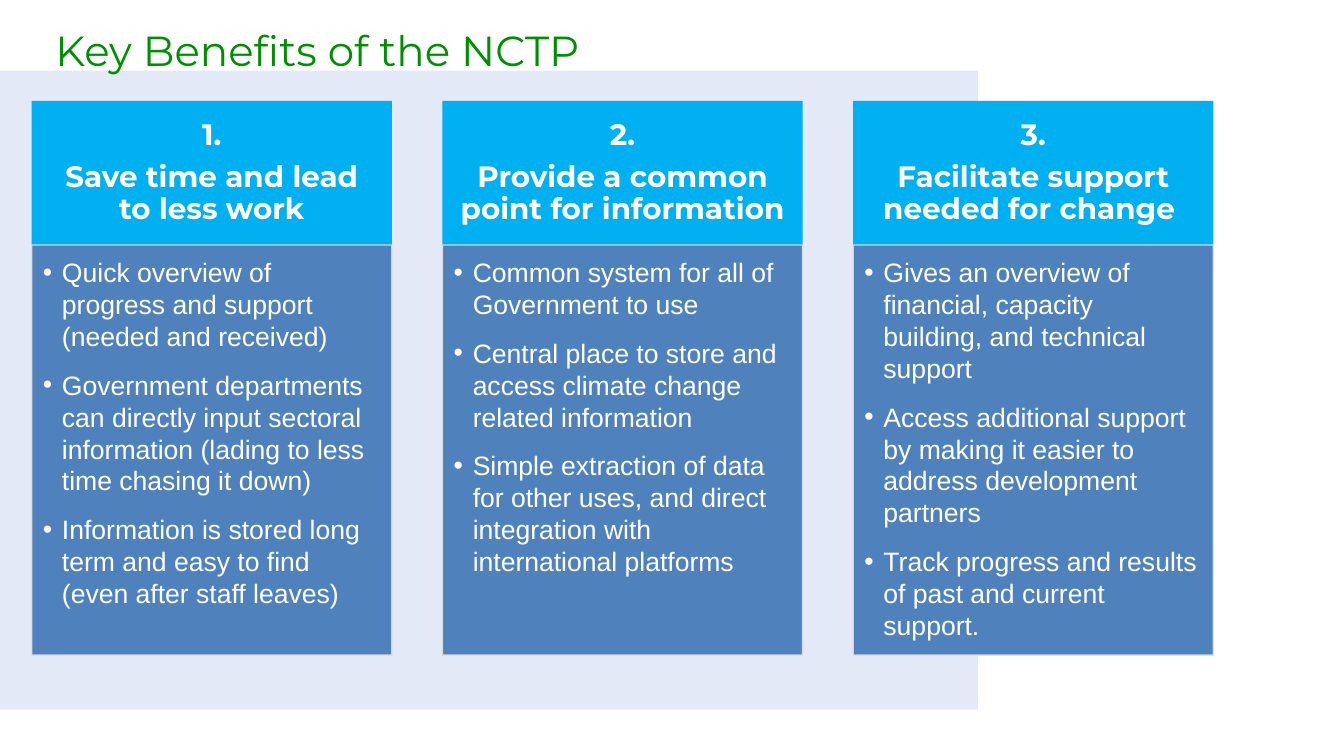
from lxml.etree import SubElement
from pptx import Presentation
from pptx.dml.color import RGBColor
from pptx.enum.shapes import MSO_SHAPE
from pptx.enum.text import MSO_ANCHOR, MSO_AUTO_SIZE, PP_ALIGN
from pptx.oxml.ns import qn
from pptx.util import Pt

TITLE = "Key Benefits of the NCTP"
CARDS = [
    ("1.", "Save time and lead to less work", [
        "Quick overview of progress and support (needed and received)",
        "Government departments can directly input sectoral information "
        "(lading to less time chasing it down)",
        "Information is stored long term and easy to find (even after staff leaves)",
    ]),
    ("2.", "Provide a common point for information", [
        "Common system for all of Government to use",
        "Central place to store and access climate change related information",
        "Simple extraction of data for other uses, and direct integration "
        "with international platforms",
    ]),
    ("3.", "Facilitate support needed for change ", [
        "Gives an overview of financial, capacity building, and technical support",
        "Access additional support by making it easier to address development partners",
        "Track progress and results of past and current support.",
    ]),
]
COLORS = {"panel": "4472C4", "title": "008F00", "head": "00B0F0",
          "body": "4F81BD", "edge": "E1E1E1", "text": "FFFFFF"}
LEFT, TOP, WIDTH, PITCH = 22.6, 72, 257.3, 293.4
HEAD, BODY = 103, 293
INDENT = 13.7


def color(name):
    return RGBColor.from_string(COLORS[name])


def box(left, top, width, height, fill):
    shape = slide.shapes.add_shape(
        MSO_SHAPE.RECTANGLE, Pt(left), Pt(top), Pt(width), Pt(height))
    shape.shadow.inherit = False
    shape.fill.solid()
    shape.fill.fore_color.rgb = color(fill)
    shape.line.fill.background()
    return shape


def fade(shape, part, percent):
    tone = shape.element.spPr.find(part + qn("a:solidFill") + "/" + qn("a:srgbClr"))
    SubElement(tone, qn("a:alpha")).set("val", str(percent * 1000))


def frame(shape, anchor, insets):
    text = shape.text_frame
    text.word_wrap = True
    text.auto_size = MSO_AUTO_SIZE.NONE
    text.vertical_anchor = anchor
    text.margin_left, text.margin_top, text.margin_right, text.margin_bottom = map(Pt, insets)
    return text


def style(line, face, size, tone, bold=False):
    font = line.font
    font.name, font.size, font.bold = face, Pt(size), bold
    font.color.rgb = color(tone)


def bullet(line):
    props = line._p.get_or_add_pPr()
    props.set("marL", str(Pt(INDENT)))
    props.set("indent", str(-Pt(INDENT)))
    SubElement(props, qn("a:buFont")).set("typeface", "Arial")
    SubElement(props, qn("a:buChar")).set("char", "•")


def add_head(left, lines):
    shape = box(left, TOP, WIDTH, HEAD, "head")
    text = frame(shape, MSO_ANCHOR.MIDDLE, (11.5, 6.5, 11.5, 6.5))
    text.text = "\n".join(lines)
    for line in text.paragraphs:
        line.alignment = PP_ALIGN.CENTER
        line.line_spacing = 0.9
        line.space_after = Pt(7.8)
        style(line, "Montserrat", 21, "text", True)


def add_body(left, points):
    shape = box(left, TOP + HEAD, WIDTH, BODY, "body")
    shape.line.color.rgb = color("edge")
    shape.line.width = Pt(1)
    fade(shape, qn("a:ln") + "/", 90)
    text = frame(shape, MSO_ANCHOR.TOP, (8, 8, 10.8, 12))
    text.text = "\n".join(points)
    for line in text.paragraphs:
        line.alignment = PP_ALIGN.LEFT
        line.line_spacing = 1.0
        line.space_after = Pt(12)
        bullet(line)
        style(line, "Arial", 19, "text")


deck = Presentation()
deck.slide_width, deck.slide_height = Pt(960), Pt(540)
slide = deck.slides.add_slide(deck.slide_layouts[5])

panel = box(0, 50.5, 698.5, 456.5, "panel")
fade(panel, "", 15)
title = slide.shapes.title
panel.element.addnext(title.element)
title.left, title.top, title.width, title.height = map(Pt, (32.4, 6, 827, 51.6))
text = frame(title, MSO_ANCHOR.BOTTOM, (7.2, 3.6, 7.2, 3.6))
text.text = TITLE
line = text.paragraphs[0]
line.alignment = PP_ALIGN.LEFT
line.line_spacing = 0.9
style(line, "Montserrat", 30, "title")

for index, (number, heading, points) in enumerate(CARDS):
    left = LEFT + index * PITCH
    add_head(left, (number, heading))
    add_body(left, points)

deck.save("out.pptx")
